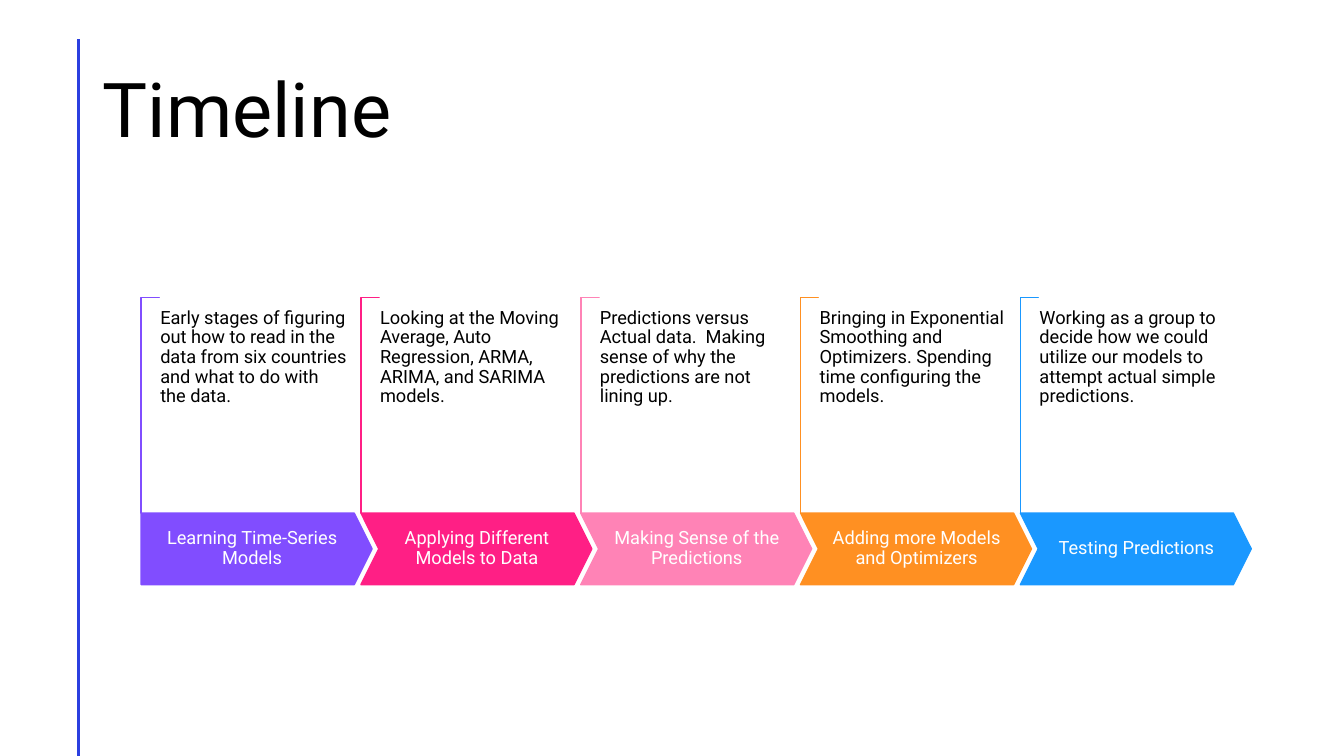
from lxml import etree
from pptx import Presentation
from pptx.dml.color import RGBColor
from pptx.enum.shapes import MSO_CONNECTOR, MSO_SHAPE
from pptx.enum.text import MSO_ANCHOR, PP_ALIGN
from pptx.oxml.ns import qn
from pptx.util import Inches, Pt

CORNER, PENTAGON, CHEVRON = MSO_SHAPE.CORNER, MSO_SHAPE.PENTAGON, MSO_SHAPE.CHEVRON
STRAIGHT = MSO_CONNECTOR.STRAIGHT
TOP, MIDDLE = MSO_ANCHOR.TOP, MSO_ANCHOR.MIDDLE
LEFT, CENTER = PP_ALIGN.LEFT, PP_ALIGN.CENTER

BLACK = RGBColor(0x00, 0x00, 0x00)
WHITE = RGBColor(0xFF, 0xFF, 0xFF)
INDIGO = RGBColor(0x2B, 0x3F, 0xE0)
VIOLET = RGBColor(0x81, 0x4D, 0xFF)
MAGENTA = RGBColor(0xFF, 0x1F, 0x85)
PINK = RGBColor(0xFF, 0x83, 0xB6)
ORANGE = RGBColor(0xFF, 0x90, 0x22)
BLUE = RGBColor(0x1A, 0x98, 0xFF)

STAGES = [
    (VIOLET, "Learning Time-Series Models",
     "Early stages of figuring out how to read in the data from six countries "
     "and what to do with the data."),
    (MAGENTA, "Applying Different Models to Data",
     "Looking at the Moving Average, Auto Regression, ARMA, ARIMA, and SARIMA models."),
    (PINK, "Making Sense of the Predictions",
     "Predictions versus Actual data.  Making sense of why the predictions "
     "are not lining up."),
    (ORANGE, "Adding more Models and Optimizers",
     "Bringing in Exponential Smoothing and Optimizers. Spending time "
     "configuring the models."),
    (BLUE, "Testing Predictions",
     "Working as a group to decide how we could utilize our models to attempt "
     "actual simple predictions."),
]
FIRST_LEFT, STEP = 1.4, 2.18
ARROW_TOP, ARROW_WIDTH, ARROW_HEIGHT = 5.09, 2.29, 0.71


class TimelineSlide:
    font = "Roboto"

    def __init__(self, slide):
        self.slide = slide
        self.shapes = slide.shapes

    def style(self, frame, text, size, color, align=LEFT, anchor=TOP):
        frame.text = text
        frame.word_wrap = True
        frame.vertical_anchor = anchor
        paragraph = frame.paragraphs[0]
        paragraph.alignment = align
        paragraph.line_spacing = 0.9
        font = paragraph.runs[0].font
        font.name, font.size, font.color.rgb = self.font, Pt(size), color

    def title(self, text, left, top, width, height):
        heading = self.shapes.title
        heading.left, heading.top = Inches(left), Inches(top)
        heading.width, heading.height = Inches(width), Inches(height)
        self.style(heading.text_frame, text, 54, BLACK, anchor=MIDDLE)

    def rule(self, x, top, bottom, color, weight):
        rule = self.shapes.add_connector(
            STRAIGHT, Inches(x), Inches(top), Inches(x), Inches(bottom))
        rule.line.color.rgb, rule.line.width = color, Pt(weight)
        etree.SubElement(rule._element.spPr, qn("a:effectLst"))

    def shape(self, kind, left, top, width, height, fill, line, adjustments):
        shape = self.shapes.add_shape(
            kind, Inches(left), Inches(top), Inches(width), Inches(height))
        shape.shadow.inherit = False
        shape.fill.solid()
        shape.fill.fore_color.rgb = fill
        shape.line.color.rgb, shape.line.width = line, Pt(1)
        for index, value in enumerate(adjustments):
            shape.adjustments[index] = value
        return shape

    def text(self, text, left, top, width, height, color, inset=(0, 0),
             align=LEFT, anchor=TOP):
        frame = self.shapes.add_textbox(
            Inches(left), Inches(top), Inches(width), Inches(height)).text_frame
        frame.margin_left = frame.margin_right = Inches(inset[0])
        frame.margin_top = frame.margin_bottom = Inches(inset[1])
        self.style(frame, text, 13, color, align, anchor)

    def stage(self, index, color, name, description):
        """Draw a bracket, an arrow and both texts of one stage."""
        left = FIRST_LEFT + index * STEP
        first = index == 0
        bracket = self.shape(CORNER, left - 0.98, 3.93, 2.14, 0.18,
                             WHITE, color, (0.01, 0.01))
        bracket.rotation = 90
        self.shape(PENTAGON if first else CHEVRON, left, ARROW_TOP,
                   ARROW_WIDTH, ARROW_HEIGHT, color, color, (0.25,))
        label_left, label_width = (left, 2.2) if first else (left + 0.18, 1.94)
        self.text(name, label_left, ARROW_TOP, label_width, ARROW_HEIGHT, WHITE,
                  (0.09, 0.18), CENTER, MIDDLE)
        self.text(description, left + 0.19, 3.06, 1.86, 1.5, BLACK)


def main():
    deck = Presentation()
    deck.slide_width, deck.slide_height = Inches(13.33), Inches(7.5)
    timeline = TimelineSlide(deck.slides.add_slide(deck.slide_layouts[5]))
    timeline.rule(0.78, 0.39, 7.5, INDIGO, 2)
    timeline.title("Timeline", 0.92, 0.4, 11.5, 1.45)
    for index, (color, name, description) in enumerate(STAGES):
        timeline.stage(index, color, name, description)
    deck.save("out.pptx")


if __name__ == "__main__":
    main()
